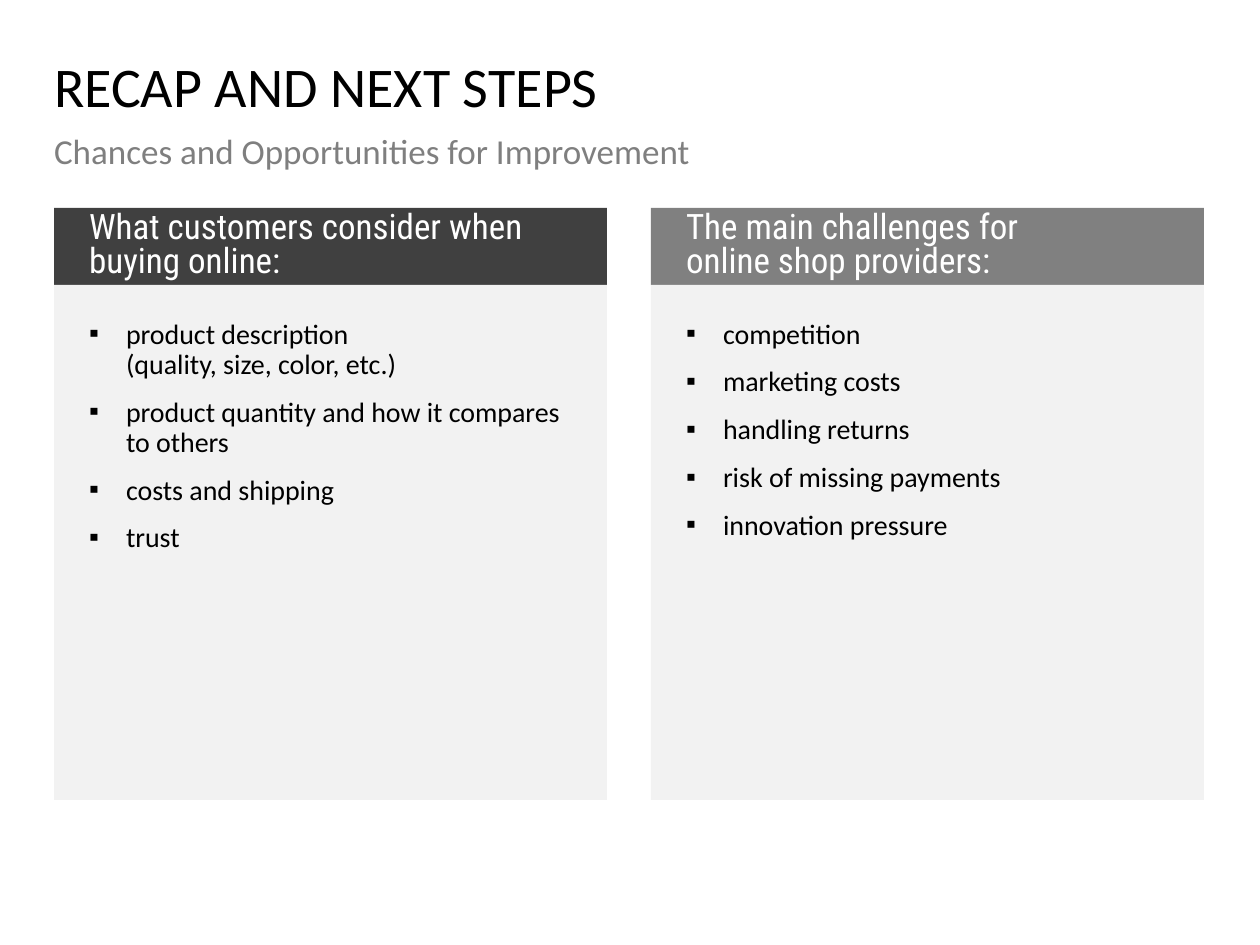
from copy import deepcopy

from lxml import etree
from pptx import Presentation
from pptx.dml.color import RGBColor
from pptx.enum.text import MSO_ANCHOR, MSO_AUTO_SIZE, PP_ALIGN
from pptx.oxml.ns import qn
from pptx.util import Emu, Pt

TOP, MIDDLE = MSO_ANCHOR.TOP, MSO_ANCHOR.MIDDLE
LEFT, FIXED = PP_ALIGN.LEFT, MSO_AUTO_SIZE.NONE
BLACK = RGBColor(0x00, 0x00, 0x00)
WHITE = RGBColor(0xFF, 0xFF, 0xFF)
DARK = RGBColor(0x40, 0x40, 0x40)
GREY = RGBColor(0x80, 0x80, 0x80)
MUTED = RGBColor(0x7F, 0x7F, 0x7F)
PALE = RGBColor(0xF2, 0xF2, 0xF2)

EDGE, STEP, WIDE = 54, 597, 553
HEAD_TOP, HEAD_HIGH, LIST_HIGH = 208, 77, 515
INDENT = 37

TITLE = {"size": Pt(32), "name": "Calibri", "bold": False}
SUB = {"size": Pt(20), "name": "Calibri", "bold": False}
HEAD = {"size": Pt(20), "name": "Roboto Condensed", "bold": False}
ITEM = {"size": Pt(16), "name": "Calibri", "bold": False}

COLUMNS = [
    (DARK, "What customers consider when \nbuying online:", [
        "product description \n(quality, size, color, etc.)",
        "product quantity and how it compares to others",
        "costs and shipping",
        "trust",
    ]),
    (GREY, "The main challenges for \nonline shop providers:", [
        "competition",
        "marketing costs",
        "handling returns",
        "risk of missing payments",
        "innovation pressure",
    ]),
]


def px(num):
    """Turn whole pixels into EMU."""
    return Emu(round(num * 914400 / 126))


def place(shape, box, pads=(0, 0, 0, 0), anchor=TOP, fill=None):
    """Set the box, insets, anchor and fill of a shape."""
    for key, num in zip(("left", "top", "width", "height"), box):
        setattr(shape, key, px(num))
    frame = shape.text_frame
    for side, num in zip(("left", "top", "right", "bottom"), pads):
        setattr(frame, f"margin_{side}", px(num))
    form = {"word_wrap": True, "auto_size": FIXED, "vertical_anchor": anchor}
    for key, val in form.items():
        setattr(frame, key, val)
    if fill is not None:
        shape.fill.solid()
        shape.fill.fore_color.rgb = fill


def add_mark(para):
    """Give a paragraph a square bullet and a hanging indent."""
    props = para._p.get_or_add_pPr()
    props.set("marL", str(px(INDENT)))
    props.set("indent", str(-px(INDENT)))
    etree.SubElement(props, qn("a:buChar")).set("char", "▪")


def write(shape, lines, style, color, ratio=0.9, after=0, mark=False):
    """Fill a shape with paragraphs of one style."""
    frame = shape.text_frame
    form = {"alignment": LEFT, "line_spacing": ratio,
            "space_before": Pt(0), "space_after": Pt(after)}
    for num, line in enumerate(lines):
        para = frame.add_paragraph() if num else frame.paragraphs[0]
        para.text = line
        if mark:
            add_mark(para)
        for key, val in form.items():
            setattr(para, key, val)
        for run in para.runs:
            for key, val in style.items():
                setattr(run.font, key, val)
            run.font.color.rgb = color
        for gap in para._p.findall(qn("a:br")):
            gap.append(deepcopy(para.runs[0]._r.rPr))


def add_column(head, body, left, fill, title, items):
    """Build a heading bar with its bullet panel below."""
    place(head, (left, HEAD_TOP, WIDE, HEAD_HIGH), (35, 0, 20, 0), MIDDLE, fill)
    write(head, [title], HEAD, WHITE, ratio=0.8)
    place(body, (left, HEAD_TOP + HEAD_HIGH, WIDE, LIST_HIGH), (35,) * 4, fill=PALE)
    write(body, items, ITEM, BLACK, after=10, mark=True)


def main():
    """Build and save the slide."""
    deck = Presentation()
    deck.slide_width, deck.slide_height = px(1260), px(945)
    slide = deck.slides.add_slide(deck.slide_layouts[4])
    title, *parts = slide.placeholders
    full = STEP + WIDE
    place(title, (EDGE, 59, full, 149))
    write(title, ["RECAP AND NEXT STEPS"], TITLE, BLACK)
    sub = slide.shapes.add_textbox(0, 0, 0, 0)
    place(sub, (EDGE, 134, full, 74))
    write(sub, ["Chances and Opportunities for Improvement"], SUB, MUTED, after=10)
    for num, column in enumerate(COLUMNS):
        head, body = parts[2 * num:2 * num + 2]
        add_column(head, body, EDGE + num * STEP, *column)
    deck.save("out.pptx")


if __name__ == "__main__":
    main()
